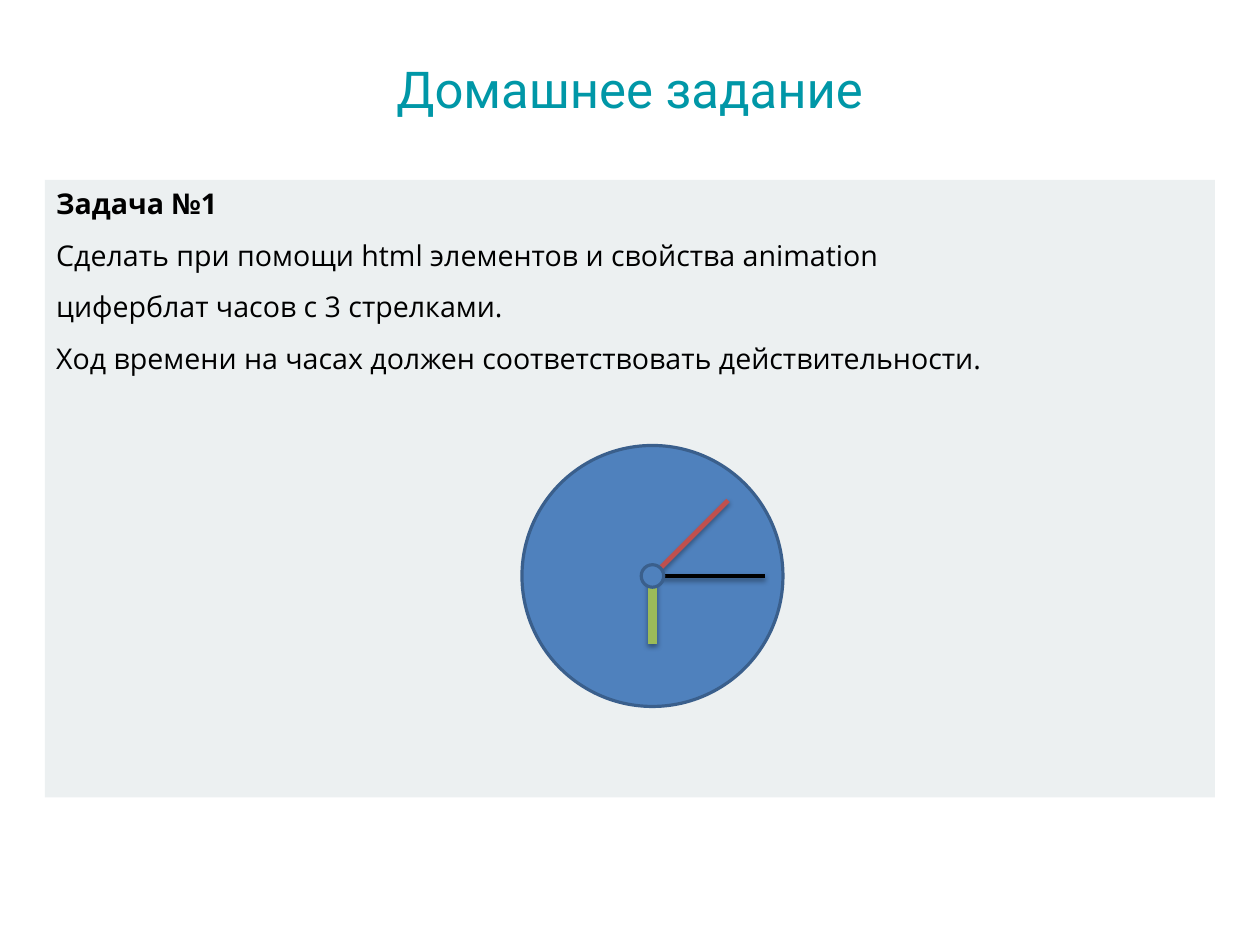
"""Build the homework slide with a clock face and three hands."""
from dataclasses import dataclass

from lxml import etree
from pptx import Presentation
from pptx import util as u
from pptx.dml.color import RGBColor
from pptx.enum import shapes, text

CENTRE_X, CENTRE_Y = 14.5, 12.8
SHADOW = """<a:effectLst xmlns:a="http://schemas.openxmlformats.org/drawingml/2006/main">
<a:outerShdw blurRad="39370" dist="22860" dir="5400000" rotWithShape="0">
<a:srgbClr val="000000"><a:alpha val="35000"/></a:srgbClr></a:outerShdw></a:effectLst>"""


@dataclass
class Line:
    wording: str
    spacing: float = 1.51
    bold: bool = False
    size: int = 18
    font: str = "Open Sans"
    colour: str = "000000"
    align: text.PP_ALIGN = text.PP_ALIGN.LEFT


@dataclass
class Hand:
    dx: float
    dy: float
    colour: str
    width: float


TITLE = [Line("Домашнее задание", 0.95, size=32, font="Roboto",
              colour="0097A7", align=text.PP_ALIGN.CENTER)]
TASK = [
    Line("Задача №1", 1.01, bold=True),
    Line("Сделать при помощи html элементов и свойства animation "),
    Line("циферблат часов с 3 стрелками."),
    Line("Ход времени на часах должен соответствовать действительности."),
]
HANDS = [
    Hand(1.68, -1.68, "C0504D", 3),
    Hand(2.5, 0, "000000", 3),
    Hand(0, 1.5, "9BBB59", 6),
]


def rgb(colour: str) -> RGBColor:
    return RGBColor.from_string(colour)


def apply(target, formats: dict) -> None:
    for name, value in formats.items():
        setattr(target, name, value)


def write(frame, lines: list[Line], formats: dict) -> None:
    apply(frame, {"word_wrap": True, **formats})
    for number, line in enumerate(lines):
        paragraph = frame.add_paragraph() if number else frame.paragraphs[0]
        apply(paragraph, {"alignment": line.align, "line_spacing": line.spacing})
        run = paragraph.add_run()
        run.text = line.wording
        apply(run.font, {"name": line.font, "size": u.Pt(line.size), "bold": line.bold})
        run.font.color.rgb = rgb(line.colour)


def add_filled(kind, left: float, top: float, width: float, height: float, colour: str):
    shape = slide.shapes.add_shape(kind, u.Cm(left), u.Cm(top), u.Cm(width), u.Cm(height))
    shape.shadow.inherit = False
    shape.fill.solid()
    shape.fill.fore_color.rgb = rgb(colour)
    return shape


def add_disc(radius: float) -> None:
    disc = add_filled(shapes.MSO_SHAPE.OVAL, CENTRE_X - radius, CENTRE_Y - radius,
                      2 * radius, 2 * radius, "4F81BD")
    disc.line.color.rgb = rgb("3A5F8C")
    disc.line.width = u.Pt(2)


def add_hand(hand: Hand) -> None:
    arm = slide.shapes.add_connector(
        shapes.MSO_CONNECTOR.STRAIGHT, u.Cm(CENTRE_X), u.Cm(CENTRE_Y),
        u.Cm(CENTRE_X + hand.dx), u.Cm(CENTRE_Y + hand.dy))
    arm.line.color.rgb = rgb(hand.colour)
    arm.line.width = u.Pt(hand.width)
    arm._element.spPr.append(etree.fromstring(SHADOW))


deck = Presentation()
apply(deck, {"slide_width": u.Cm(28), "slide_height": u.Cm(21)})
slide = deck.slides.add_slide(deck.slide_layouts[6])

panel = add_filled(shapes.MSO_SHAPE.RECTANGLE, 1, 4, 26, 13.72, "ECF0F1")
panel.line.fill.background()
write(panel.text_frame, TASK, {"vertical_anchor": text.MSO_ANCHOR.TOP})

title = slide.shapes.add_textbox(u.Cm(1), u.Cm(1), u.Cm(26), u.Cm(2.16))
write(title.text_frame, TITLE, {
    "vertical_anchor": text.MSO_ANCHOR.MIDDLE,
    "margin_top": u.Cm(0.05), "margin_bottom": u.Cm(0.15),
})

add_disc(2.9)
for clock_hand in HANDS:
    add_hand(clock_hand)
add_disc(0.25)

deck.save("out.pptx")
